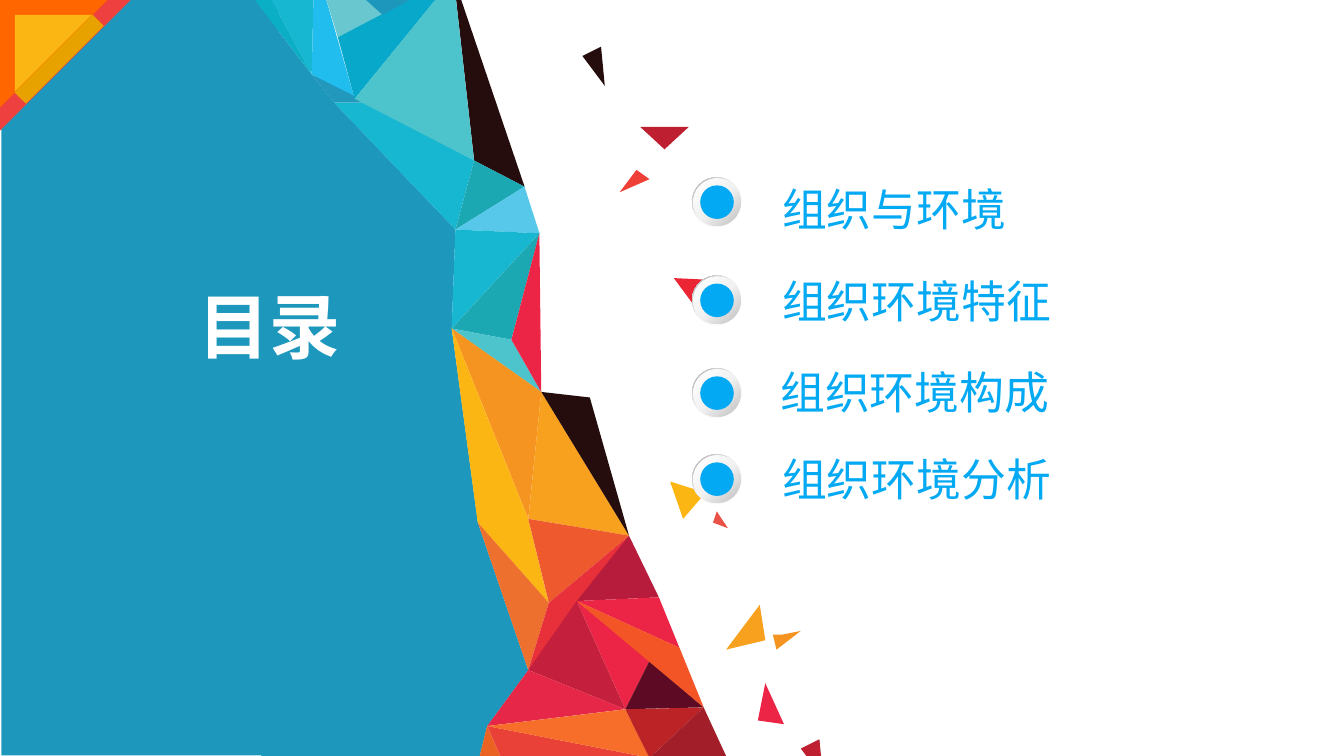
from copy import deepcopy

from pptx import Presentation
from pptx.dml import color
from pptx.enum import shapes, text
from pptx.oxml import ns
from pptx.util import Pt

SHAPE = shapes.MSO_SHAPE
FONT = "Arial"
BLUE, ACCENT, WHITE = "1D97BC", "03A9F3", "FFFFFF"
TEAL, AQUA, SEA = "17B7D1", "4DC4CC", "1BA8B2"
GOLD, AMBER, ORANGE = "FBB614", "F8A11E", "F59421"
PINK, CRIMSON, DARK = "EC2546", "BE1F31", "260D0D"

NODES = {
    "edge": [(135, -2), (167, 40), (179, 55), (244, 123), (242, 176),
             (256, 280), (283, 359), (261, 389), (257, 405)],
    "rim": [(243, -12), (281, 100), (289, 125), (290, 210), (316, 213),
            (337, 287), (353, 320), (364, 347), (377, 379), (389, 405)],
    "top": [(145, -1), (168, -3), (174, -3), (191, -7), (195, -1), (225, -3)],
    "cool": [(205, 8), (181, 20), (190, 53), (197, 55), (254, 86), (274, 182)],
    "warm": [(283, 278), (294, 323), (309, 322), (348, 354), (335, 380)],
    "foot": [(268, 405), (348, 406)],
}
COOL_FACETS = [
    (DARK, "rim0 rim1 cool4"),
    ("0AAEC5", "edge0 top0 edge1"),
    (TEAL, "top0 top1 edge1"),
    ("21BDEE", "top1 top2 cool2 edge1"),
    ("2198BC", "edge1 cool3 edge2"),
    (TEAL, "cool3 cool4 edge3 edge2"),
    ("69C7CF", "top2 top3 cool0 cool1"),
    ("08A8CA", "cool1 cool2 rim0 top5"),
    (BLUE, "top4 cool0 top5"),
    (AQUA, "rim0 cool4 cool2"),
    (SEA, "cool4 rim1 edge3"),
    ("57C8EA", "edge3 rim1 rim2"),
    (TEAL, "edge3 rim2 edge4"),
    (SEA, "rim2 cool5 edge4"),
    (AQUA, "edge4 cool5 rim3"),
]
WARM_FACETS = [
    (PINK, "rim2 cool5 rim3"),
    (ORANGE, "edge4 rim3 warm0"),
    (GOLD, "edge4 edge5 warm1 warm0"),
    (AMBER, "rim3 warm0 rim5"),
    (DARK, "rim3 rim4 rim5"),
    ("EE592E", "warm0 warm1 rim5"),
    ("ED702E", "edge5 warm1 edge6"),
    ("E73039", "warm1 rim5 edge6"),
    ("B71C3C", "warm2 rim6 rim5"),
    (PINK, "warm2 rim7 rim6"),
    (PINK, "warm2 warm4 warm3"),
    ("C41F3D", "warm2 warm4 edge6"),
    ("5D0B24", "warm4 rim8 warm3"),
    ("F45526", "warm2 rim8 rim7"),
    ("E72748", "edge6 edge7 warm4"),
    ("EB6323", "edge7 edge8 foot0"),
    ("E94138", "edge7 foot0 foot1"),
    ("F66E29", "edge7 warm4 foot1"),
    ("BC2326", "warm4 rim8 foot1"),
    ("A21F29", "rim8 rim9 foot1"),
]
SPLINTER = [(-10, 5), (2, 21)]
SHARDS = [
    (DARK, (322, 25), SPLINTER),
    (CRIMSON, (343, 68), [(26, 0.5), (13, 12)]),
    ("EE4037", (341, 91), [(-8.5, 12), (7, 5)]),
    ("EB2534", (360.7, 149), [(21, 1), (17, 23)]),
    (GOLD, (358.6, 258.5), [(19, 5.5), (7, 20)]),
    ("EA5248", (383.8, 273.6), [(6.5, 9.5), (-2, 6.5)]),
    (AMBER, (407, 324), [(-18, 24), (3, 19)]),
    (ORANGE, (414, 340), [(5, 0), (15, -2), (1.5, 8)]),
    (PINK, (410.4, 366.5), [(-4, 19), (10, 21)]),
    (CRIMSON, (439, 396), SPLINTER),
]
ENTRIES = [
    {"words": "组织与环境", "knob": 95, "label": (412, 94)},
    {"words": "组织环境特征", "knob": 147.6, "label": (412, 143)},
    {"words": "组织环境构成", "knob": 197.3, "label": (411, 192)},
    {"words": "组织环境分析", "knob": 243.4, "label": (412, 238.5)},
]


def rgb(value):
    """Turn a hex string into a colour."""
    return color.RGBColor.from_string(value)


def paint(sp, fill):
    """Give a shape a plain fill with no line or shadow."""
    sp.shadow.inherit = False
    sp.line.fill.background()
    sp.fill.solid()
    sp.fill.fore_color.rgb = rgb(fill)


def paint_gradient(sp, stops, angle):
    """Give a shape a three-stop linear gradient."""
    sp.fill.gradient()
    sp.fill.gradient_angle = angle
    gs_list = sp.element.find(".//" + ns.qn("a:gsLst"))
    gs_list.append(deepcopy(gs_list[0]))
    for stop, (position, value) in zip(sp.fill.gradient_stops, stops):
        stop.position = position
        stop.color.rgb = rgb(value)


def add_preset(parent, kind, box, fill, rotation=0):
    """Add a filled preset shape to a shape tree."""
    sp = parent.add_shape(kind, *(Pt(v) for v in box))
    paint(sp, fill)
    sp.rotation = rotation
    return sp


def add_polygon(slide, origin, points, fill):
    """Add a closed polygon whose points are relative to an origin."""
    left, top = origin
    points = [(left + x, top + y) for x, y in points]
    builder = slide.shapes.build_freeform(*points[0], scale=Pt(1))
    builder.add_line_segments(points[1:], close=True)
    paint(builder.convert_to_shape(), fill)


def add_label(slide, box, words, align, wrap, font):
    """Add a one-line text box with the given font values."""
    tf = slide.shapes.add_textbox(*(Pt(v) for v in box)).text_frame
    tf.word_wrap = wrap
    tf.auto_size = text.MSO_AUTO_SIZE.SHAPE_TO_FIT_TEXT
    p = tf.paragraphs[0]
    p.alignment = align
    r = p.add_run()
    r.text = words
    r.font.color.rgb = rgb(font["color"])
    for name in font.keys() - {"color"}:
        setattr(r.font, name, font[name])


def add_panel(slide, origin):
    """Draw the blue panel, bounded on the right by the mosaic edge."""
    left, top = origin
    add_preset(slide.shapes, SHAPE.RECTANGLE, (left + 0.7, top - 0.7, 148.3, 405.4), BLUE)
    add_polygon(slide, origin, NODES["edge"] + [(140, 407)], BLUE)


def add_mosaic(slide, origin):
    """Draw the facets of the mesh, which meet at shared named nodes."""
    mesh = {f"{row}{i}": point for row, points in NODES.items() for i, point in enumerate(points)}
    for fill, corners in COOL_FACETS + WARM_FACETS:
        add_polygon(slide, origin, [mesh[name] for name in corners.split()], fill)


def add_shards(slide, origin):
    """Scatter loose shards, each a tip and the offsets of its other corners."""
    for fill, (x, y), offsets in SHARDS:
        points = [(x + dx, y + dy) for dx, dy in [(0, 0)] + offsets]
        add_polygon(slide, origin, points, fill)


def add_corner(slide, origin):
    """Draw the layered triangles and stripe of the corner."""
    left, top = origin
    for inset, size, fill in [(0, 70, "EE403F"), (0, 57.6, "FF6600"), (8, 41, GOLD)]:
        box = (left + inset, top + inset, size, size)
        add_preset(slide.shapes, SHAPE.RIGHT_TRIANGLE, box, fill, 90)
    add_preset(slide.shapes, SHAPE.RECTANGLE, (left + 27.4, top + 2.2, 8.6, 59), "E7A200", 45)


def add_knob(slide, left, top, size=26.6):
    """Draw a raised round bullet as a group of concentric parts."""
    parts = slide.shapes.add_group_shape().shapes
    ring, disc, dot = [
        add_preset(parts, kind, (left + inset, top + inset, size - 2 * inset, size - 2 * inset), fill)
        for kind, inset, fill in [(SHAPE.DONUT, 0, WHITE), (SHAPE.OVAL, 0.6, WHITE), (SHAPE.OVAL, 4.3, ACCENT)]
    ]
    ring.adjustments[0] = 0.05
    paint_gradient(ring, [(0, WHITE), (0.55, "F2F2F2"), (1, "A6A6A6")], 135)
    paint_gradient(disc, [(0, WHITE), (0.51, "F2F2F2"), (1, "BFBFBF")], 315)


def add_contents(slide, knob_left):
    """Place the entries and their bullets."""
    font = {"name": FONT, "size": Pt(24), "color": ACCENT}
    for entry in ENTRIES:
        add_label(slide, (*entry["label"], 185, 38), entry["words"], text.PP_ALIGN.LEFT, True, font)
        add_knob(slide, knob_left, entry["knob"])


def add_title(slide, box):
    """Place the heading on the blue panel."""
    font = {"name": FONT, "size": Pt(38), "bold": True, "color": WHITE}
    add_label(slide, box, "目录", text.PP_ALIGN.CENTER, False, font)


def main():
    """Build the contents slide and save it."""
    prs = Presentation()
    prs.slide_width, prs.slide_height = Pt(720), Pt(405)
    slide = prs.slides.add_slide(prs.slide_layouts[6])
    for add_region in (add_panel, add_mosaic, add_shards, add_corner):
        add_region(slide, (0, 0))
    add_contents(slide, 370.8)
    add_title(slide, (98.6, 147.6, 91.4, 53.3))
    prs.save("out.pptx")


if __name__ == "__main__":
    main()
